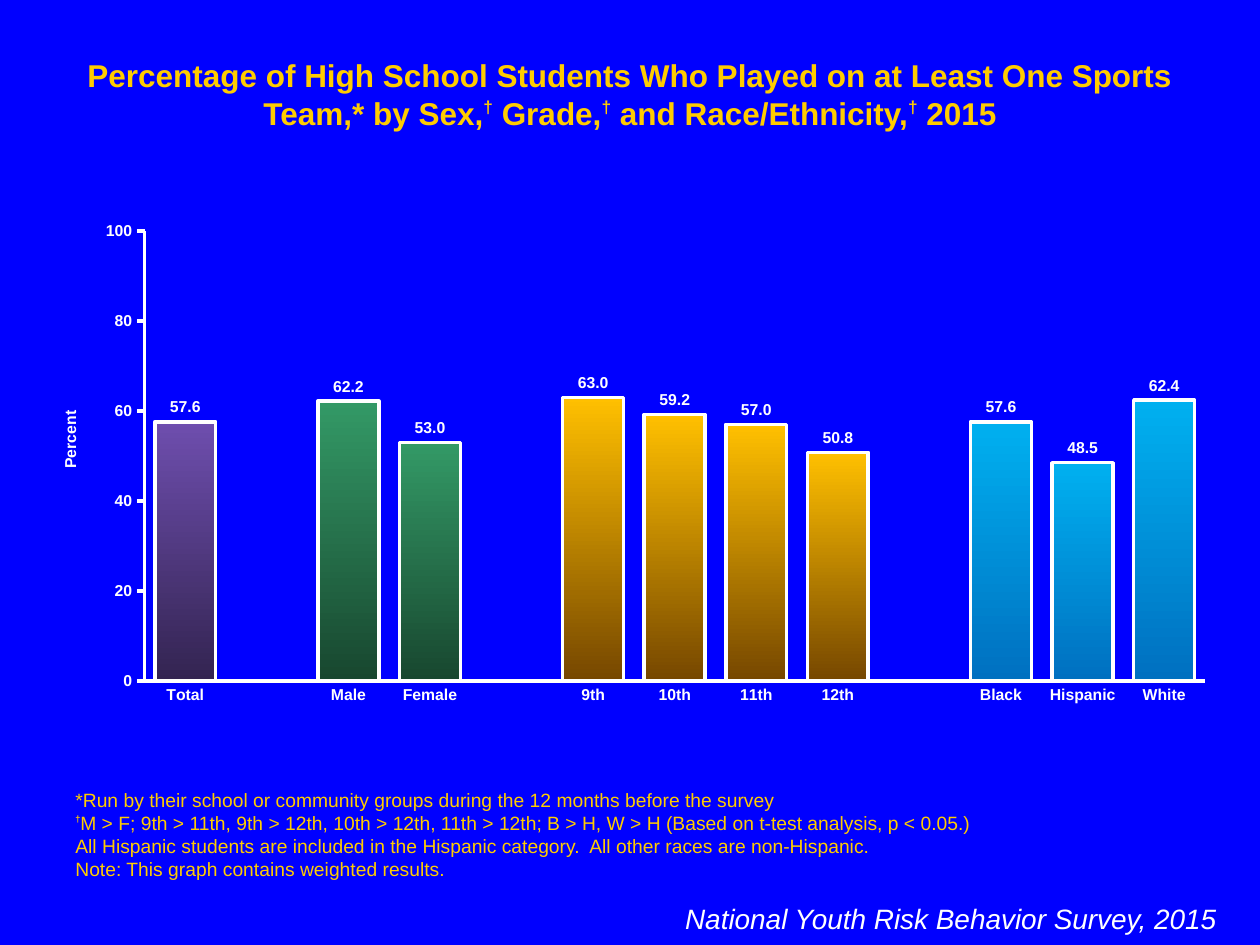
from dataclasses import dataclass

from lxml import etree
from pptx import Presentation
from pptx import util as u
from pptx.chart.data import CategoryChartData
from pptx.dml.color import RGBColor
from pptx.enum import chart as ch
from pptx.enum import text
from pptx.oxml.ns import qn

PX_PER_INCH = 126
BLUE = RGBColor(0x00, 0x00, 0xFF)
GOLD = RGBColor(0xFF, 0xCC, 0x00)
WHITE = RGBColor(0xFF, 0xFF, 0xFF)
FONT = "Arial"
DARKEN = -0.35  # shade of the lower end of each bar
DAGGER = "†"


@dataclass(frozen=True)
class Box:
    left: int
    top: int
    width: int
    height: int


@dataclass(frozen=True)
class BarGroup:
    top_color: RGBColor
    bottom_color: RGBColor
    bars: dict[str, float]


SLIDE = Box(0, 0, 1260, 945)
TITLE = Box(63, 50, 1134, 92)
CHART = Box(32, 213, 1197, 501)
PLOT = Box(145, 231, 1060, 450)
AXIS_TITLE = Box(57, 408, 0, 0)
NOTES = Box(63, 781, 1134, 106)
SOURCE = Box(536, 895, 693, 50)

GROUPS = [
    BarGroup(RGBColor(0x6E, 0x4E, 0xAE), RGBColor(0x4F, 0x38, 0x7C), {"Total": 57.6}),
    BarGroup(RGBColor(0x33, 0x99, 0x66), RGBColor(0x18, 0x47, 0x2F),
             {"Male": 62.2, "Female": 53.0}),
    BarGroup(RGBColor(0xFF, 0xC0, 0x00), RGBColor(0xB6, 0x6D, 0x00),
             {"9th": 63.0, "10th": 59.2, "11th": 57.0, "12th": 50.8}),
    BarGroup(RGBColor(0x00, 0xB0, 0xF0), RGBColor(0x00, 0x70, 0xC0),
             {"Black": 57.6, "Hispanic": 48.5, "White": 62.4}),
]
DARKENED_GROUPS = (GROUPS[0], GROUPS[2])

TITLE_TEXT = ("Percentage of High School Students Who Played on at Least One Sports "
              "Team,* by Sex,† Grade,† and Race/Ethnicity,† 2015")
NOTE_LINES = [
    "*Run by their school or community groups during the 12 months before the survey",
    "†M > F; 9th > 11th, 9th > 12th, 10th > 12th, 11th > 12th; B > H, W > H "
    "(Based on t-test analysis, p < 0.05.)",
    "All Hispanic students are included in the Hispanic category.  "
    "All other races are non-Hispanic.",
    "Note: This graph contains weighted results.",
]


def px(length: int) -> int:
    return round(length * 914400 / PX_PER_INCH)


def place(box: Box) -> tuple[int, ...]:
    return px(box.left), px(box.top), px(box.width), px(box.height)


def style(font, size: int, color: RGBColor, bold: bool = False) -> None:
    font.name, font.size, font.bold = FONT, u.Pt(size), bold
    font.color.rgb = color


def add_text_box(slide, box: Box, anchor=text.MSO_ANCHOR.TOP):
    frame = slide.shapes.add_textbox(*place(box)).text_frame
    frame.word_wrap = True
    frame.vertical_anchor = anchor
    return frame


def write_line(paragraph, line: str, dagger_size: int, dagger_bold: bool,
               baseline: int) -> None:
    """Write a line, raising every dagger in it."""
    for index, part in enumerate(line.split(DAGGER)):
        if index:
            run = paragraph.add_run()
            run.text = DAGGER
            run.font.size, run.font.bold = u.Pt(dagger_size), dagger_bold
            run._r.get_or_add_rPr().set("baseline", str(baseline * 1000))
        if part:
            paragraph.add_run().text = part


def set_layout(parent, index: int, box: Box, inner: bool = False) -> None:
    """Give a chart part a fixed place, as fractions of the chart."""
    for old in parent.findall(qn("c:layout")):
        parent.remove(old)
    layout = etree.Element(qn("c:layout"))
    manual = etree.SubElement(layout, qn("c:manualLayout"))
    values = {"layoutTarget": "inner"} if inner else {}
    values |= {"xMode": "edge", "yMode": "edge",
               "x": round((box.left - CHART.left) / CHART.width, 3),
               "y": round((box.top - CHART.top) / CHART.height, 3)}
    if inner:
        values |= {"w": round(box.width / CHART.width, 3),
                   "h": round(box.height / CHART.height, 3)}
    for name, value in values.items():
        etree.SubElement(manual, qn(f"c:{name}")).set("val", str(value))
    parent.insert(index, layout)


def style_axis(axis, tick_mark) -> None:
    axis.has_major_gridlines = False
    axis.major_tick_mark = tick_mark
    axis.minor_tick_mark = ch.XL_TICK_MARK.NONE
    axis.format.line.color.rgb = WHITE
    axis.format.line.width = u.Pt(2)
    style(axis.tick_labels.font, 9, WHITE, True)


def paint_bar(point, group: BarGroup) -> None:
    fill = point.format.fill
    fill.gradient()
    fill.gradient_angle = 270
    top, bottom = fill.gradient_stops
    top.color.rgb = group.top_color
    bottom.color.rgb = group.bottom_color
    if group in DARKENED_GROUPS:
        bottom.color.brightness = DARKEN
    point.format.line.color.rgb = WHITE
    point.format.line.width = u.Pt(2)


def add_bar_chart(slide) -> None:
    # One empty category separates neighbouring groups
    columns = []
    for group in GROUPS:
        if columns:
            columns.append(("", None, None))
        columns += [(name, value, group) for name, value in group.bars.items()]
    data = CategoryChartData()
    data.categories = [name for name, _, _ in columns]
    data.add_series("Series 1", [value for _, value, _ in columns])
    chart = slide.shapes.add_chart(
        ch.XL_CHART_TYPE.COLUMN_CLUSTERED, *place(CHART), data).chart
    chart.has_legend = chart.has_title = False
    style(chart.font, 18, WHITE)

    # Axes
    style_axis(chart.category_axis, ch.XL_TICK_MARK.NONE)
    percent = chart.value_axis
    style_axis(percent, ch.XL_TICK_MARK.OUTSIDE)
    percent.minimum_scale, percent.maximum_scale, percent.major_unit = 0, 100, 20
    title = percent.axis_title
    title.text_frame.text = "Percent"
    style(title.text_frame.paragraphs[0].font, 9, WHITE, True)
    set_layout(title._element, 1, AXIS_TITLE)
    set_layout(chart._chartSpace.chart.plotArea, 0, PLOT, inner=True)

    # Bars and their values
    plot = chart.plots[0]
    plot.gap_width, plot.overlap, plot.vary_by_categories = 34, 100, False
    plot.has_data_labels = True
    labels = plot.data_labels
    labels.show_value = True
    labels.number_format, labels.number_format_is_linked = "#,##0.0", False
    labels.position = ch.XL_LABEL_POSITION.OUTSIDE_END
    style(labels.font, 9, WHITE, True)
    for index, (_, _, group) in enumerate(columns):
        if group:
            paint_bar(plot.series[0].points[index], group)


def main() -> None:
    presentation = Presentation()
    presentation.slide_width, presentation.slide_height = place(SLIDE)[2:]
    slide = presentation.slides.add_slide(presentation.slide_layouts[5])
    slide.background.fill.solid()
    slide.background.fill.fore_color.rgb = BLUE

    # Title
    title = slide.shapes.title
    title.left, title.top, title.width, title.height = place(TITLE)
    title.text_frame.vertical_anchor = text.MSO_ANCHOR.TOP
    title.text_frame.auto_size = text.MSO_AUTO_SIZE.NONE
    paragraph = title.text_frame.paragraphs[0]
    paragraph.alignment = text.PP_ALIGN.CENTER
    style(paragraph.font, 18, GOLD, True)
    write_line(paragraph, TITLE_TEXT, 17, True, 40)

    add_bar_chart(slide)

    # Footnotes
    notes = add_text_box(slide, NOTES, text.MSO_ANCHOR.BOTTOM)
    for index, line in enumerate(NOTE_LINES):
        paragraph = notes.add_paragraph() if index else notes.paragraphs[0]
        style(paragraph.font, 11, GOLD)
        write_line(paragraph, line, 9, True, 50)

    # Survey name
    paragraph = add_text_box(slide, SOURCE).paragraphs[0]
    paragraph.text = "National Youth Risk Behavior Survey, 2015"
    paragraph.alignment = text.PP_ALIGN.RIGHT
    style(paragraph.font, 16, WHITE)
    paragraph.font.italic = True

    presentation.save("out.pptx")


if __name__ == "__main__":
    main()
